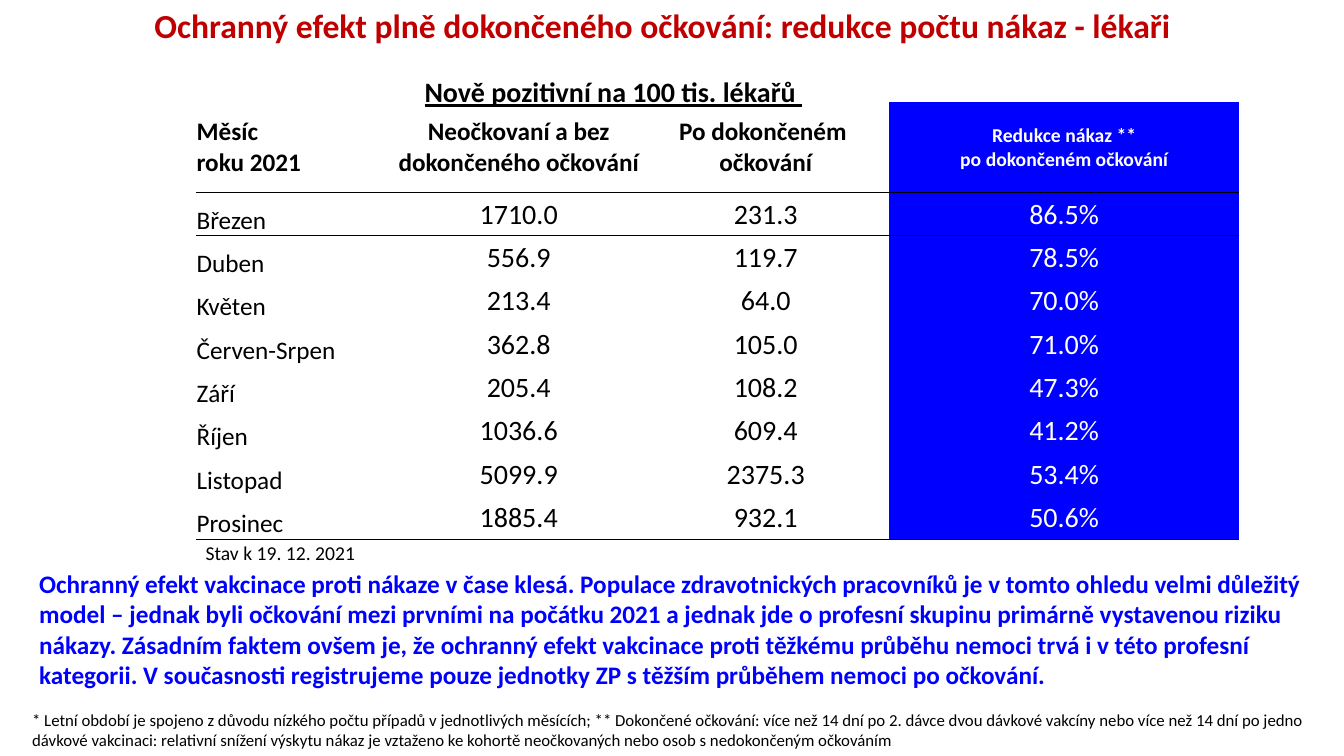
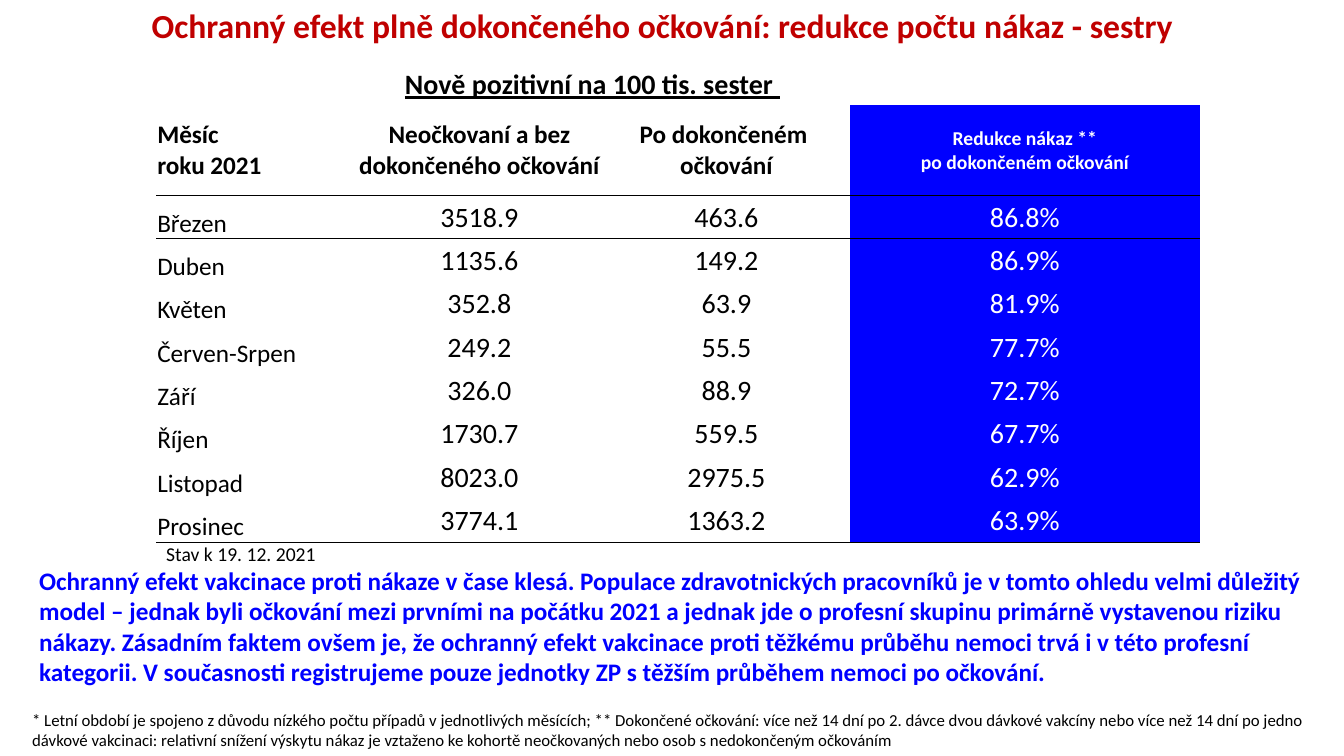
from lxml.etree import SubElement
from pptx import Presentation
from pptx.dml.color import RGBColor
from pptx.enum.text import MSO_ANCHOR as Anchor, MSO_AUTO_SIZE as AutoSize, PP_ALIGN as Align
from pptx.oxml import parse_xml
from pptx.oxml.ns import nsdecls, qn
from pptx.util import Inches, Pt

RED, BLUE, BLACK, WHITE = "C00000", "0000FF", "000000", "FFFFFF"
NO_STYLE = "{2D5ABB26-0587-4C30-8999-92F81FD0307C}"
COLUMNS = (1.98, 2.45, 2.45, 3.47)
ROW, HEAD_ROW = 0.43, 0.9
MONTHS = ("Březen", "Duben", "Květen", "Červen-Srpen", "Září", "Říjen", "Listopad", "Prosinec")
HEADINGS = (
    "Měsíc\nroku 2021",
    "Neočkovaní a bez dokončeného očkování",
    "Po dokončeném \nočkování",
    "Redukce nákaz **\npo dokončeném očkování",
)
TITLE = "Ochranný efekt plně dokončeného očkování: redukce počtu nákaz - "
CAPTION = "Nově pozitivní na 100 tis. "
STATUS = "Stav k 19. 12. 2021"
MESSAGE = (
    "Ochranný efekt vakcinace proti nákaze v čase klesá. Populace zdravotnických pracovníků je "
    "v tomto ohledu velmi důležitý model – jednak byli očkování mezi prvními na počátku 2021 a "
    "jednak jde o profesní skupinu primárně vystavenou riziku nákazy. Zásadním faktem ovšem je, "
    "že ochranný efekt vakcinace proti těžkému průběhu nemoci trvá i v této profesní kategorii. "
    "V současnosti registrujeme pouze jednotky ZP s těžším průběhem nemoci po očkování."
)
FOOTNOTE = (
    "* Letní období je spojeno z důvodu nízkého počtu případů v jednotlivých měsících; "
    "** Dokončené očkování: více než 14 dní po 2. dávce dvou dávkové vakcíny nebo více než 14 dní "
    "po jedno dávkové vakcinaci: relativní snížení výskytu nákaz je vztaženo ke kohortě "
    "neočkovaných nebo osob s nedokončeným očkováním"
)
GROUPS = (
    {
        "who": "lékaři", "of_whom": "lékařů ",
        "caption": (3.87, 0.69), "table": (1.94, 0.58), "status_top": 5.32, "message_top": 5.59,
        "unvaccinated": ("1710.0", "556.9", "213.4", "362.8", "205.4", "1036.6", "5099.9", "1885.4"),
        "vaccinated": ("231.3", "119.7", "64.0", "105.0", "108.2", "609.4", "2375.3", "932.1"),
        "reduction": ("86.5%", "78.5%", "70.0%", "71.0%", "47.3%", "41.2%", "53.4%", "50.6%"),
    },
    {
        "who": "sestry", "of_whom": "sester ",
        "caption": (3.66, 0.61), "table": (1.55, 0.61), "status_top": 5.33, "message_top": 5.56,
        "unvaccinated": ("3518.9", "1135.6", "352.8", "249.2", "326.0", "1730.7", "8023.0", "3774.1"),
        "vaccinated": ("463.6", "149.2", "63.9", "55.5", "88.9", "559.5", "2975.5", "1363.2"),
        "reduction": ("86.8%", "86.9%", "81.9%", "77.7%", "72.7%", "67.7%", "62.9%", "63.9%"),
    },
)


def rgb(value):
    """Turn a hex string into a colour."""
    return RGBColor.from_string(value)


def write(frame, text, size, color=BLACK, align=Align.LEFT, **font_values):
    """Fill a text frame, one paragraph per line, in one style."""
    frame.text = text
    values = {"name": "Calibri", "size": Pt(size), **font_values}
    for paragraph in frame.paragraphs:
        paragraph.alignment = align
        for run in paragraph.runs:
            run.font.color.rgb = rgb(color)
            for key, value in values.items():
                setattr(run.font, key, value)


def add_text(slide, box, text, size, fit=AutoSize.SHAPE_TO_FIT_TEXT, **style):
    """Add a wrapped text box and return its frame."""
    frame = slide.shapes.add_textbox(*map(Inches, box)).text_frame
    frame.word_wrap = True
    write(frame, text, size, **style)
    frame.auto_size = fit
    return frame


def add_title(slide, box, text):
    """Add the red slide title."""
    frame = add_text(slide, box, text, 24, AutoSize.NONE, color=RED, align=Align.CENTER, bold=True)
    frame.paragraphs[0].line_spacing = 0.9


def add_rule(cell, side):
    """Draw a thin black border on the top (T) or bottom (B) of a cell."""
    border = parse_xml(
        f'<a:ln{side} {nsdecls("a")} w="12700"><a:solidFill><a:srgbClr val="{BLACK}"/>'
        f'</a:solidFill></a:ln{side}>'
    )
    cell._tc.get_or_add_tcPr().insert(0, border)


def fill_cell(cell, text, column, heading):
    """Write and colour one cell of the table."""
    month, reduction = column == 0, column == len(COLUMNS) - 1
    layout = {
        "margin_left": Inches(0.01),
        "margin_right": Inches(0.01),
        "margin_top": Inches(0.01),
        "margin_bottom": 0,
        "vertical_anchor": Anchor.BOTTOM if month and not heading else Anchor.MIDDLE,
    }
    for key, value in layout.items():
        setattr(cell, key, value)
    if heading:
        size = 14 if reduction else 18
    else:
        size = 18 if month else 20
    write(cell.text_frame, text, size, WHITE if reduction else BLACK,
          Align.LEFT if month else Align.CENTER, bold=heading)
    if reduction:
        cell.fill.solid()
        cell.fill.fore_color.rgb = rgb(BLUE)


def add_infection_table(slide, left, top, group):
    """Add the monthly table of infections with its blue reduction column."""
    months = zip(MONTHS, group["unvaccinated"], group["vaccinated"], group["reduction"])
    lines = [HEADINGS, *months]
    heights = [ROW, HEAD_ROW] + [ROW] * len(MONTHS)
    box = (left, top, sum(COLUMNS), sum(heights))
    table = slide.shapes.add_table(len(heights), len(COLUMNS), *map(Inches, box)).table
    table.first_row = table.horz_banding = False
    properties = table._tbl.tblPr
    for style in properties.findall(qn("a:tableStyleId")):
        properties.remove(style)
    SubElement(properties, qn("a:tableStyleId")).text = NO_STYLE
    for column, width in zip(table.columns, COLUMNS):
        column.width = Inches(width)
    for row, height in zip(table.rows, heights):
        row.height = Inches(height)
    table.cell(0, 1).merge(table.cell(0, 2))
    ruled = {1: "B", 2: "T", len(lines): "B"}
    for row, texts in enumerate(lines, 1):
        for column, text in enumerate(texts):
            cell = table.cell(row, column)
            fill_cell(cell, text, column, heading=row == 1)
            if row in ruled:
                add_rule(cell, ruled[row])


def add_group_slide(deck, group):
    """Add the slide of one professional group."""
    slide = deck.slides.add_slide(deck.slide_layouts[6])
    left, top = group["table"]
    add_title(slide, (0.22, 0.04, 12.7, 1.45), TITLE + group["who"])
    add_text(slide, (*group["caption"], 4.43, 0.44), CAPTION + group["of_whom"], 20,
             align=Align.CENTER, bold=True, underline=True)
    add_text(slide, (0.22, 6.99, 12.99, 0.5), FOOTNOTE, 12)
    add_infection_table(slide, left, top, group)
    add_text(slide, (left, group["status_top"], 2.21, 0.34), STATUS, 14)
    add_text(slide, (0.29, group["message_top"], 12.87, 1.31), MESSAGE, 18, color=BLUE, bold=True)


def main():
    """Build and save the deck."""
    deck = Presentation()
    deck.slide_width, deck.slide_height = Inches(13.33), Inches(7.5)
    for group in GROUPS:
        add_group_slide(deck, group)
    deck.save("out.pptx")


if __name__ == "__main__":
    main()
